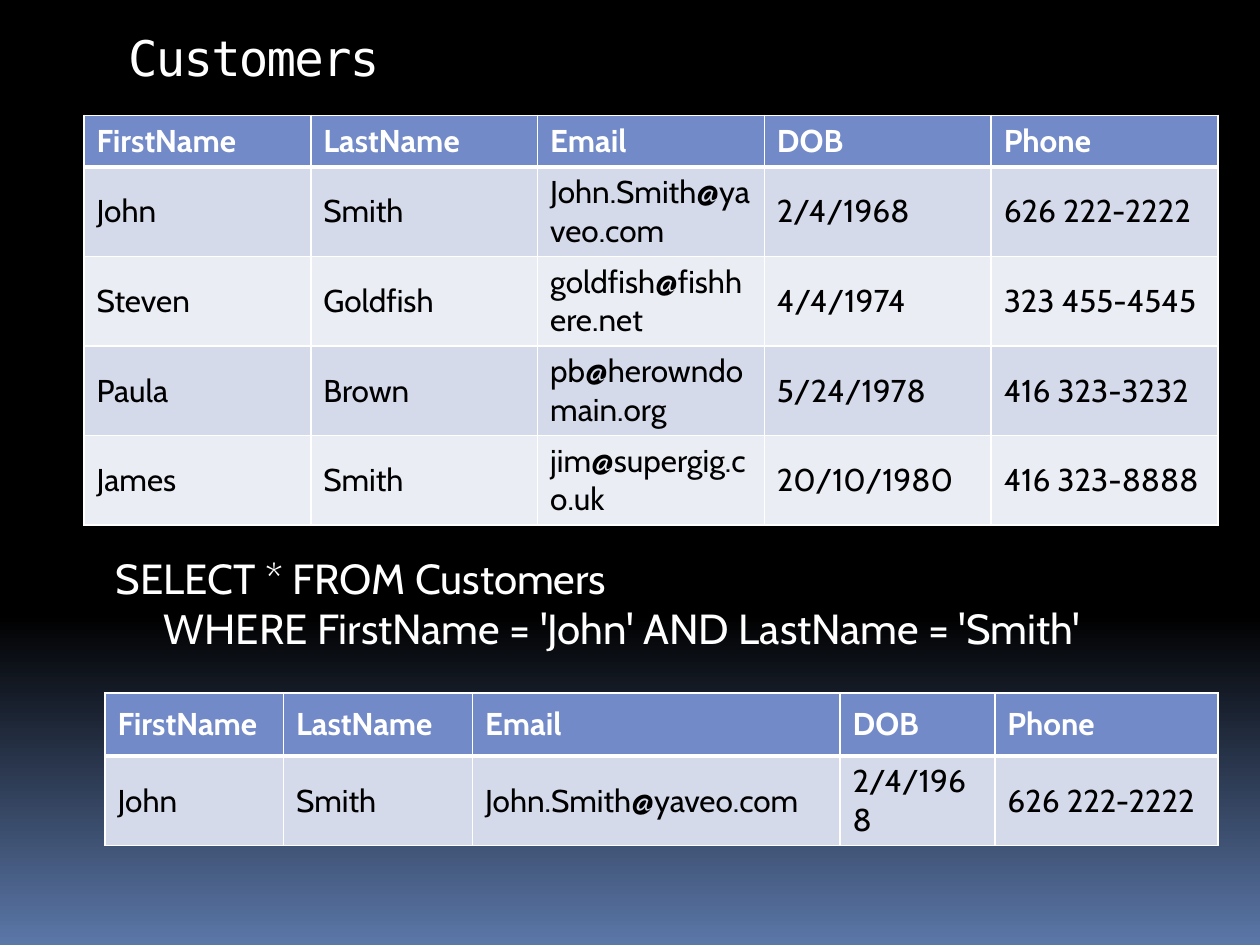
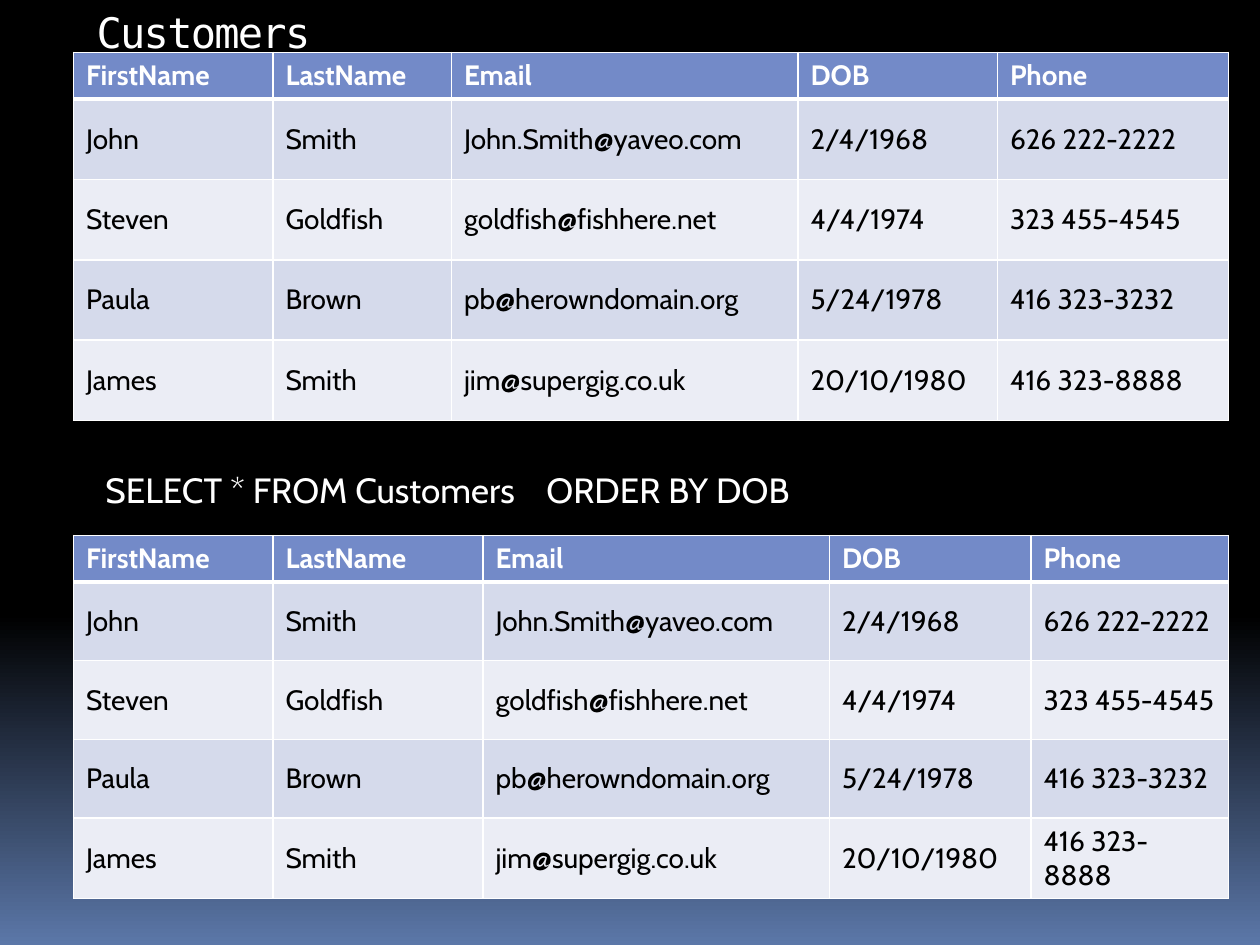
from copy import deepcopy
from dataclasses import dataclass

from lxml.etree import SubElement
from pptx import Presentation
from pptx.dml.color import RGBColor
from pptx.enum.text import MSO_ANCHOR as Anchor, MSO_AUTO_SIZE as AutoSize, PP_ALIGN as Align
from pptx.oxml.ns import qn
from pptx.util import Inches, Pt

WHITE = RGBColor(0xFF, 0xFF, 0xFF)
BLACK = RGBColor(0x00, 0x00, 0x00)
DUSK_BLUE = RGBColor(0x5B, 0x77, 0xA8)
HEADER_BLUE = RGBColor(0x73, 0x8A, 0xC8)
BAND_DARK = RGBColor(0xD5, 0xDA, 0xEB)
BAND_LIGHT = RGBColor(0xEB, 0xED, 0xF5)
TITLE_FONT = "DejaVu Sans Mono"
BODY_FONT = "Cabin"
THIN, THICK = Pt(1), Pt(3)

SLIDE_WIDTH, SLIDE_HEIGHT = Inches(10), Inches(7.5)
GRID_COLUMNS = 120
UNIT = SLIDE_WIDTH / GRID_COLUMNS

HEADINGS = ("FirstName", "LastName", "Email", "DOB", "Phone")
CUSTOMERS = (
    ("John", "Smith", "John.Smith@yaveo.com", "2/4/1968", "626 222-2222"),
    ("Steven", "Goldfish", "goldfish@fishhere.net", "4/4/1974", "323 455-4545"),
    ("Paula", "Brown", "pb@herowndomain.org", "5/24/1978", "416 323-3232"),
    ("James", "Smith", "jim@supergig.co.uk", "20/10/1980", "416 323-8888"),
)


@dataclass(frozen=True)
class Box:
    left: float
    top: float
    width: float
    height: float


@dataclass(frozen=True)
class CustomerTable:
    left: float
    top: float
    columns: tuple[float, ...]
    header_height: float
    row_height: float
    size: int
    customers: tuple = CUSTOMERS


@dataclass(frozen=True)
class Query:
    text: str
    box: Box
    size: int
    left_indent: float
    first_indent: float = 0
    tab_stop: float = 0


@dataclass(frozen=True)
class QuerySlide:
    title_box: Box
    title_size: int
    query: Query
    tables: tuple[CustomerTable, ...]


QUERY_SLIDES = (
    QuerySlide(
        Box(11, 2, 102, 12), 28,
        Query("SELECT * FROM Customers\vWHERE FirstName = 'John' AND LastName = 'Smith'",
              Box(9, 52, 105, 11), 24, 0.45, -0.38),
        (CustomerTable(8, 11, (21.6,) * 5, 4.9, 8.4, 18),
         CustomerTable(10, 66, (17, 18, 35, 14.75, 21.25), 6, 7.3, 18, CUSTOMERS[:1])),
    ),
    QuerySlide(
        Box(8, 0, 102, 12), 24,
        Query("SELECT * FROM Customers\tORDER BY DOB", Box(8, 44, 102, 13), 20, 0.07, tab_stop=3.5),
        (CustomerTable(7, 5, (19, 17, 33, 19, 22), 4.36, 7.66, 16),
         CustomerTable(7, 51, (19, 20, 33, 19.2, 18.8), 4.2, 7.5, 16)),
    ),
)


def grid(units: float) -> int:
    return round(units * UNIT)


def write(text_frame, text: str, *, size: int, font_name: str = BODY_FONT,
          color: RGBColor = WHITE, bold: bool = False, spacing: int = 0,
          anchor=Anchor.TOP):
    text_frame.word_wrap = True
    text_frame.vertical_anchor = anchor
    paragraph = text_frame.paragraphs[0]
    paragraph.text = text
    paragraph.alignment = Align.LEFT
    paragraph.space_before = Pt(0)
    for run in paragraph.runs:
        font = run.font
        font.name, font.size, font.bold = font_name, Pt(size), bold
        font.color.rgb = color
        if spacing:
            font._element.set("spc", str(spacing))
    return paragraph


def place(shape, box: Box) -> None:
    shape.left, shape.top = grid(box.left), grid(box.top)
    shape.width, shape.height = grid(box.width), grid(box.height)
    shape.text_frame.auto_size = AutoSize.NONE


def draw_query(shape, query: Query) -> None:
    place(shape, query.box)
    paragraph = write(shape.text_frame, query.text, size=query.size)
    properties = paragraph._p.get_or_add_pPr()
    properties.set("marL", str(Inches(query.left_indent)))
    properties.set("indent", str(Inches(query.first_indent)))
    SubElement(properties, qn("a:buNone"))
    if query.tab_stop:
        tabs = SubElement(properties, qn("a:tabLst"))
        SubElement(tabs, qn("a:tab"), pos=str(Inches(query.tab_stop)), algn="l")


def draw_borders(cell, top: int, bottom: int) -> None:
    properties = cell._tc.get_or_add_tcPr()
    for edge, width in (("L", THIN), ("R", THIN), ("T", top), ("B", bottom)):
        line = SubElement(properties, qn(f"a:ln{edge}"), w=str(width))
        fill = SubElement(line, qn("a:solidFill"))
        SubElement(fill, qn("a:srgbClr"), val=str(WHITE))


def draw_table(slide, layout: CustomerTable) -> None:
    rows = (HEADINGS, *layout.customers)
    heights = (layout.header_height,) + (layout.row_height,) * len(layout.customers)
    table = slide.shapes.add_table(
        len(rows), len(HEADINGS), grid(layout.left), grid(layout.top),
        grid(sum(layout.columns)), grid(sum(heights))).table
    for column, width in zip(table.columns, layout.columns):
        column.width = grid(width)
    for row_index, values in enumerate(rows):
        table.rows[row_index].height = grid(heights[row_index])
        is_header = row_index == 0
        band = BAND_DARK if row_index % 2 else BAND_LIGHT
        for column_index, value in enumerate(values):
            cell = table.cell(row_index, column_index)
            write(cell.text_frame, value, size=layout.size, bold=is_header,
                  color=WHITE if is_header else BLACK)
            cell.vertical_anchor = Anchor.MIDDLE
            draw_borders(cell, top=THICK if row_index == 1 else THIN,
                         bottom=THICK if is_header else THIN)
            cell.fill.solid()
            cell.fill.fore_color.rgb = HEADER_BLUE if is_header else band


def paint_background(master) -> None:
    fill = master.background.fill
    fill.gradient()
    fill.gradient_angle = 270
    stop_list = master.element.find(f".//{qn('p:bg')}//{qn('a:gsLst')}")
    stop_list.insert(1, deepcopy(stop_list[0]))
    stops = ((0, BLACK), (0.65, BLACK), (1, DUSK_BLUE))
    for stop, (position, color) in zip(fill.gradient_stops, stops):
        stop.position = position
        stop.color.rgb = color


def draw_slide(presentation, content: QuerySlide) -> None:
    slide = presentation.slides.add_slide(presentation.slide_layouts[1])
    title = slide.shapes.title
    place(title, content.title_box)
    write(title.text_frame, "Customers", size=content.title_size,
          font_name=TITLE_FONT, spacing=-100)
    draw_query(slide.placeholders[1], content.query)
    for table in content.tables:
        draw_table(slide, table)


def main() -> None:
    presentation = Presentation()
    presentation.slide_width, presentation.slide_height = SLIDE_WIDTH, SLIDE_HEIGHT
    paint_background(presentation.slide_master)
    for content in QUERY_SLIDES:
        draw_slide(presentation, content)
    presentation.save("out.pptx")


if __name__ == "__main__":
    main()
